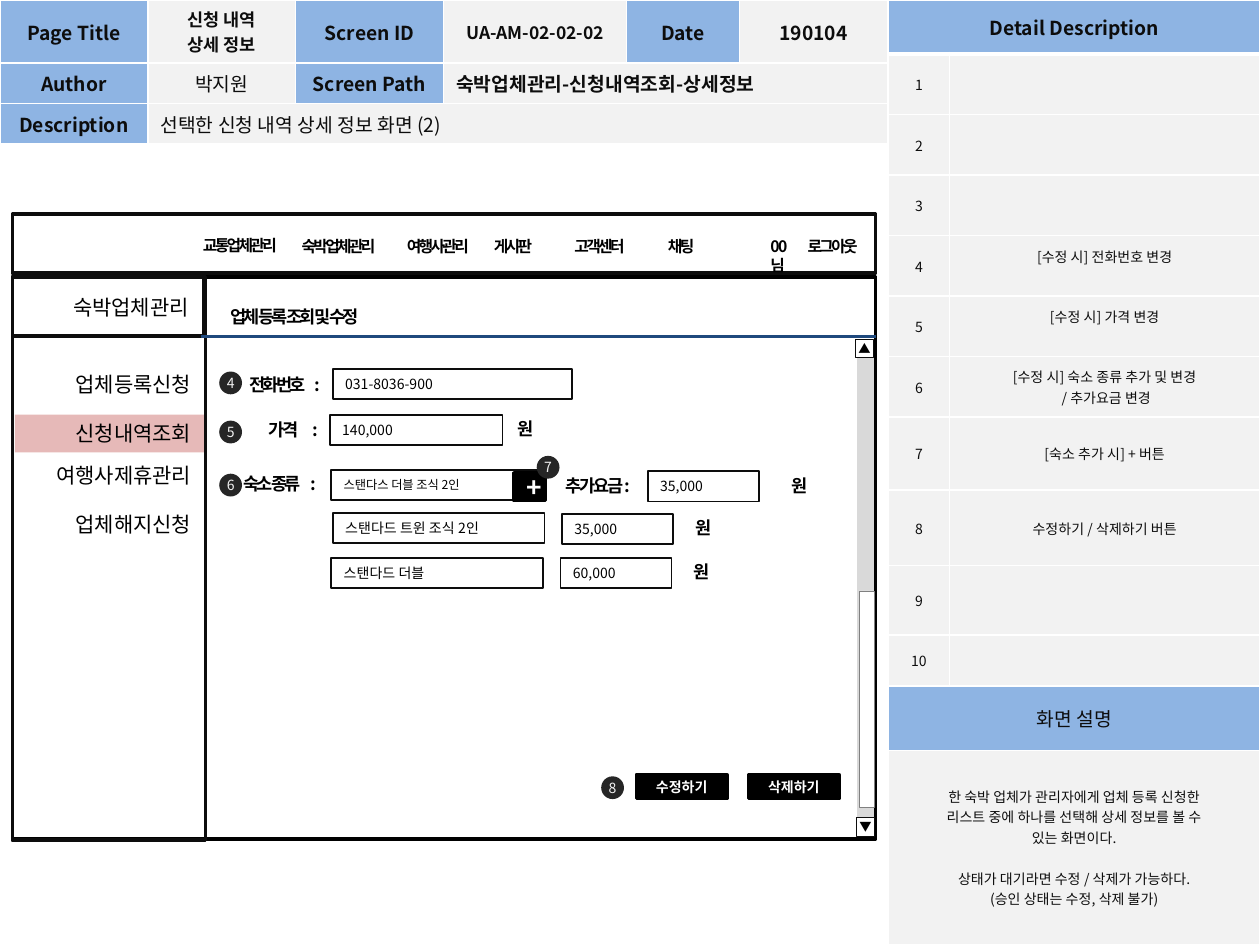
from lxml import etree
from pptx import Presentation
from pptx.dml.color import RGBColor
from pptx.enum.shapes import MSO_CONNECTOR, MSO_SHAPE
from pptx.enum.text import MSO_ANCHOR, PP_ALIGN
from pptx.oxml import parse_xml
from pptx.oxml.ns import nsdecls, qn
from pptx.util import Cm, Pt

FONT = "Noto Sans CJK KR"
BLUE, GREY, WHITE, BLACK, INK = "8EB4E3", "F2F2F2", "FFFFFF", "000000", "0D0D0D"
LEFT, CENTER, RIGHT = PP_ALIGN.LEFT, PP_ALIGN.CENTER, PP_ALIGN.RIGHT
TOP, MIDDLE = MSO_ANCHOR.TOP, MSO_ANCHOR.MIDDLE
rgb = RGBColor.from_string


def write(tf, text, size, color=BLACK, bold=False, align=CENTER, spacing=0):
    tf.text = text
    for p in tf.paragraphs:
        p.alignment = align
        for r in p.runs:
            r.font.size, r.font.bold, r.font.name = Pt(size), bold, FONT
            r.font.color.rgb = rgb(color)
            rPr = r.font._element
            etree.SubElement(rPr, qn("a:ea")).set("typeface", FONT)
            if spacing:
                rPr.set("spc", str(spacing))


def add_box(shapes, at, fill=None, line=None, width=1, kind=MSO_SHAPE.RECTANGLE):
    sp = shapes.add_shape(kind, *map(Cm, at))
    sp.shadow.inherit = False
    if fill:
        sp.fill.solid()
        sp.fill.fore_color.rgb = rgb(fill)
    else:
        sp.fill.background()
    if line:
        sp.line.color.rgb = rgb(line)
        sp.line.width = Pt(width)
    else:
        sp.line.fill.background()
    return sp


prs = Presentation()
prs.slide_width, prs.slide_height = Cm(25.4), Cm(19.05)
s = prs.slides.add_slide(prs.slide_layouts[6])
shapes = s.shapes

header_rows = [
    ["Page Title", "신청 내역\n상세 정보", "Screen ID", "UA-AM-02-02-02", "Date", "190104"],
    ["Author", "박지원", "Screen Path", "숙박업체관리-신청내역조회-상세정보", "", ""],
    ["Description", "선택한 신청 내역 상세 정보 화면 (2)", "", "", "", ""],
]
detail_rows = [["Detail Description", ""]] + [[str(n), ""] for n in range(1, 11)]
detail_rows[4][1] = "[수정 시] 전화번호 변경"
detail_rows[5][1] = "[수정 시] 가격 변경"
detail_rows[6][1] = "[수정 시] 숙소 종류 추가 및 변경\n / 추가요금 변경"
detail_rows[7][1] = "[숙소 추가 시] + 버튼"
detail_rows[8][1] = "수정하기 / 삭제하기 버튼"
detail_rows += [["화면 설명", ""], [
    "한 숙박 업체가 관리자에게 업체 등록 신청한\n리스트 중에 하나를 선택해 상세 정보를 볼 수\n"
    "있는 화면이다.\n상태가 대기라면 수정 / 삭제가 가능하다.\n(승인 상태는 수정, 삭제 불가)", ""]]

titles = {"Page Title", "Screen ID", "Date", "Author", "Screen Path", "Description",
          "Detail Description", "화면 설명"}
plain = {"박지원", header_rows[2][1], "화면 설명"}
left_cells = {header_rows[1][3], header_rows[2][1]}
sizes = {header_rows[0][1]: 10, header_rows[0][3]: 10}

tables = []
for x, rows, widths, heights, small in [
    (0, header_rows, [2.98, 2.98, 2.98, 3.69, 2.28, 2.98], [0.79, 0.81, 0.81], False),
    (17.91, detail_rows, [1.23, 6.26],
     [1.09] + [1.22] * 6 + [1.47, 1.52, 1.4, 1.02, 1.3, 3.91], True),
]:
    table = shapes.add_table(len(rows), len(widths), Cm(x), Cm(0),
                             Cm(sum(widths)), Cm(sum(heights))).table
    tables.append(table)
    for col, w in zip(table.columns, widths):
        col.width = Cm(w)
    for row, h in zip(table.rows, heights):
        row.height = Cm(h)
    for i, row in enumerate(rows):
        for j, text in enumerate(row):
            cell = table.cell(i, j)
            cell.vertical_anchor = MIDDLE
            is_title = text in titles
            size = sizes.get(text, 8 if small and not is_title else 11)
            bold = text not in plain and (is_title or not small)
            write(cell.text_frame, text, size, INK, bold,
                  LEFT if text in left_cells else CENTER)
            tcPr = cell._tc.get_or_add_tcPr()
            sides = "B" if not small and i == 0 else "LRTB"
            for side in sides:
                pts = 3 if small and i == 0 and side == "B" else 1
                tcPr.append(parse_xml(
                    f'<a:ln{side} {nsdecls("a")} w="{Pt(pts)}"><a:solidFill>'
                    f'<a:srgbClr val="{WHITE}"/></a:solidFill></a:ln{side}>'))
            cell.fill.solid()
            cell.fill.fore_color.rgb = rgb(BLUE if is_title else GREY)

header, detail = tables
header.cell(1, 3).merge(header.cell(1, 5))
header.cell(2, 1).merge(header.cell(2, 5))
for i in (0, 11, 12):
    detail.cell(i, 0).merge(detail.cell(i, 1))
for i in (4, 5):
    detail.cell(i, 1).margin_bottom = Cm(0.53)
detail.cell(12, 0).text_frame.paragraphs[3].space_before = Pt(12)

add_box(shapes, (0.25, 5.59, 17.4, 11.33), line=BLACK, width=2)
for at in [(0.25, 4.32, 17.4, 1.19), (0.25, 5.59, 3.89, 11.35), (0.25, 5.59, 3.86, 1.19)]:
    add_box(shapes, at, line=INK, width=2)

side_menu = [("숙박업체관리", 0.25, 5.82, None), ("업체등록신청", 0.3, 7.37, WHITE),
             ("신청내역조회", 0.3, 8.36, "E6B9B8"), ("여행사제휴관리", 0.3, 9.19, WHITE),
             ("업체해지신청", 0.3, 10.19, WHITE)]
for text, x, y, fill in side_menu:
    sp = add_box(shapes, (x, y, 3.81, 0.76), fill)
    sp.text_frame.vertical_anchor = TOP
    write(sp.text_frame, text, 12, align=RIGHT)

rule = shapes.add_connector(MSO_CONNECTOR.STRAIGHT, Cm(4.06), Cm(6.78), Cm(17.65), Cm(6.78))
rule.line.color.rgb = rgb("1F497D")
rule.line.width = Pt(1.5)
etree.SubElement(rule._element.spPr, qn("a:effectLst"))

captions = [
    ("교통업체관리", 3.78, 4.62, 2.11, 9), ("숙박업체관리", 5.77, 4.65, 2.11, 9),
    ("여행사관리", 7.9, 4.65, 1.85, 9), ("게시판", 9.68, 4.65, 1.32, 9),
    ("고객센터", 11.3, 4.65, 1.57, 9), ("채팅", 13.21, 4.65, 1.04, 9),
    ("0 0 님", 15.14, 4.65, 1.07, 9), ("로그아웃", 16, 4.65, 1.57, 9),
    ("업체 등록 조회 및 수정", 4.17, 6.05, 3.53, 10), ("추가 요금 :", 11.1, 9.45, 1.91, 10),
    ("원", 10.19, 8.31, 0.81, 10), ("원", 15.7, 9.45, 0.81, 10),
    ("원", 13.77, 10.29, 0.81, 10), ("원", 13.74, 11.18, 0.81, 10),
]
for text, x, y, w, size in captions:
    tf = shapes.add_textbox(Cm(x), Cm(y), Cm(w), Cm(0.69)).text_frame
    tf.word_wrap = text == "0 0 님"
    write(tf, text, size, bold=True, spacing=-150)

labels = [("전화번호", 4.78, 7.42, 1.32), ("가격", 5.17, 8.33, 0.88),
          ("숙소 종류", 4.65, 9.42, 1.37)]
for text, x, y, tab in labels:
    tf = shapes.add_textbox(Cm(x), Cm(y), Cm(2.1), Cm(0.69)).text_frame
    tf.word_wrap = True
    write(tf, text + "\t:", 10, bold=True, align=LEFT, spacing=-150)
    tabs = etree.SubElement(tf.paragraphs[0]._p.get_or_add_pPr(), qn("a:tabLst"))
    etree.SubElement(tabs, qn("a:tab"), pos=str(Cm(tab)), algn="l")

fields = [
    ("031-8036-900", 6.71, 7.44, 4.83, 8), ("140,000", 6.65, 8.36, 3.48, 8),
    ("스탠다스 더블 조식 2인", 6.68, 9.47, 4.32, 7), ("35,000", 13.06, 9.5, 2.24, 8),
    ("스탠다드 트윈 조식 2인", 6.71, 10.34, 4.27, 8), ("35,000", 11.33, 10.36, 2.24, 8),
    ("스탠다드 더블", 6.68, 11.25, 4.27, 8), ("60,000", 11.3, 11.25, 2.24, 8),
]
for text, x, y, w, size in fields:
    sp = add_box(shapes, (x, y, w, 0.61), WHITE, INK)
    write(sp.text_frame, text, size, align=LEFT)

for text, x, y, w, h, size in [("+", 10.36, 9.53, 0.64, 0.56, 15),
                               ("수정하기", 12.83, 15.62, 1.83, 0.48, 8),
                               ("삭제하기", 15.09, 15.62, 1.83, 0.48, 8)]:
    sp = add_box(shapes, (x, y, w, h), BLACK, BLACK, 2)
    write(sp.text_frame, text, size, WHITE, True)

add_box(shapes, (17.31, 7, 0.28, 9.65), "D9D9D9", "D9D9D9", 2)
add_box(shapes, (17.32, 11.91, 0.3, 4.37), WHITE, "808080", 0.25)
for text, x, y in [("▲", 17.25, 6.83), ("▼", 17.27, 16.48)]:
    sp = add_box(shapes, (x, y, 0.36, 0.38), WHITE, INK, 0.25)
    tf = sp.text_frame
    tf.margin_left = tf.margin_right = tf.margin_top = tf.margin_bottom = 0
    tf.word_wrap = False
    write(tf, text, 7)

for number, x, y in [("4", 4.42, 7.49), ("5", 4.42, 8.48), ("6", 4.42, 9.55),
                     ("7", 10.82, 9.19), ("8", 12.12, 15.65)]:
    badge = shapes.add_group_shape().shapes
    add_box(badge, (x, y, 0.46, 0.46), "262626", kind=MSO_SHAPE.OVAL)
    tf = badge.add_textbox(Cm(x - 0.1), Cm(y - 0.07), Cm(0.66), Cm(0.61)).text_frame
    tf.word_wrap = False
    write(tf, number, 8, GREY)

prs.save("out.pptx")
